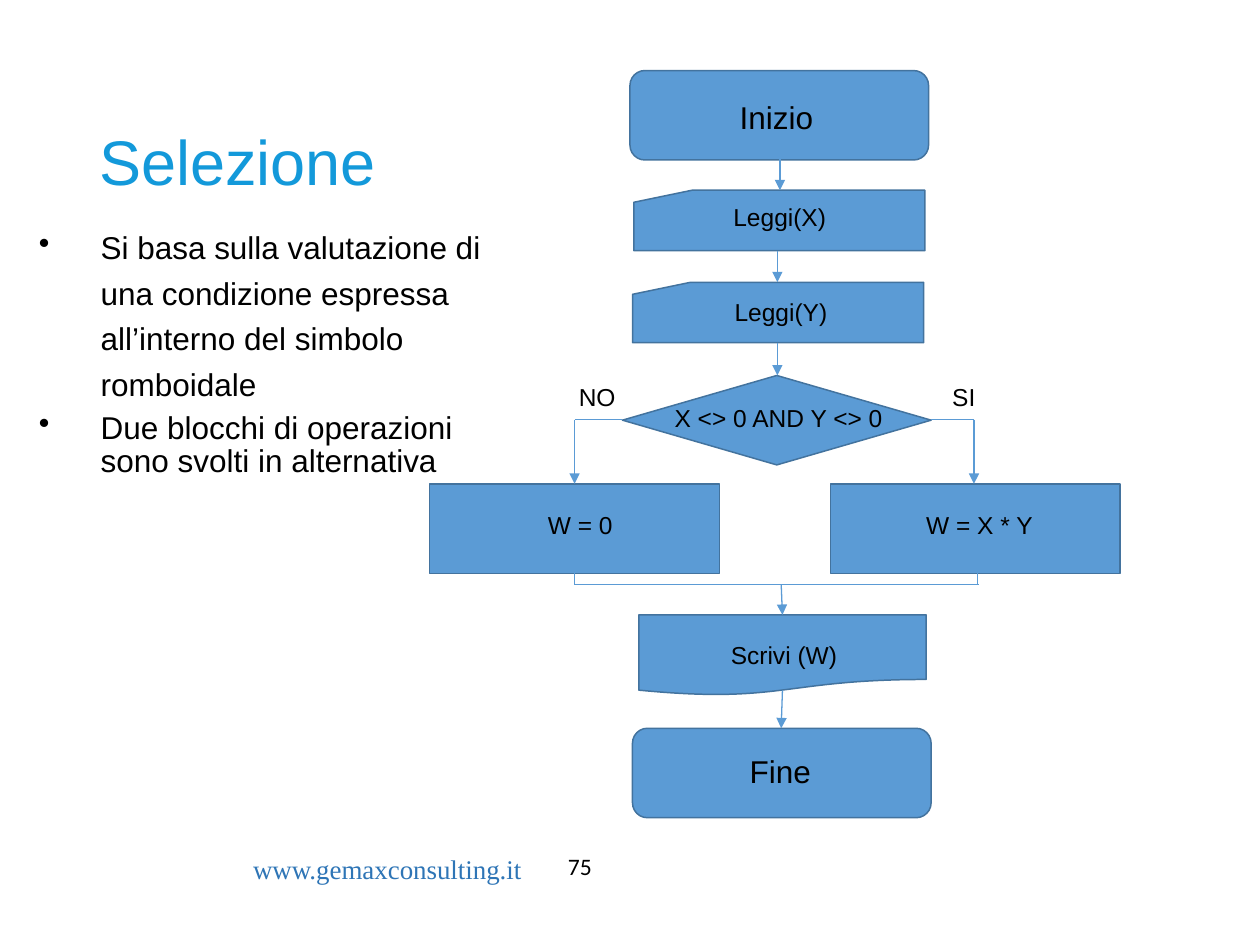
"""Build the "Selezione" slide: two bullets beside a flowchart of a conditional branch."""
from dataclasses import dataclass

from lxml import etree
from pptx import Presentation
from pptx.dml.color import RGBColor
from pptx.enum.shapes import MSO_CONNECTOR, MSO_SHAPE
from pptx.enum.text import MSO_ANCHOR, PP_ALIGN
from pptx.oxml.ns import qn
from pptx.util import Inches, Pt

STRAIGHT = MSO_CONNECTOR.STRAIGHT
TERMINAL = MSO_SHAPE.FLOWCHART_ALTERNATE_PROCESS
CARD = MSO_SHAPE.FLOWCHART_CARD
DECISION = MSO_SHAPE.FLOWCHART_DECISION
PROCESS = MSO_SHAPE.FLOWCHART_PROCESS
DOCUMENT = MSO_SHAPE.FLOWCHART_DOCUMENT
TOP, MIDDLE = MSO_ANCHOR.TOP, MSO_ANCHOR.MIDDLE
LEFT, CENTER = PP_ALIGN.LEFT, PP_ALIGN.CENTER


@dataclass(frozen=True)
class Theme:
    black: RGBColor = RGBColor.from_string("000000")
    title_blue: RGBColor = RGBColor.from_string("1399DA")
    footer_blue: RGBColor = RGBColor.from_string("2E75B6")
    fill: RGBColor = RGBColor.from_string("5B9BD5")
    outline: RGBColor = RGBColor.from_string("43739E")
    font: str = "Arial"
    footer_font: str = "Times New Roman"
    number_font: str = "Calibri"
    title_size: float = 36
    large_size: float = 18
    label_size: float = 14
    footer_size: float = 15.4
    number_size: float = 13.5
    outline_width: float = 0.85
    arrow_width: float = 0.75


theme = Theme()
presentation = Presentation()
presentation.slide_width = Inches(10)
presentation.slide_height = Inches(7.5)
slide = presentation.slides.add_slide(presentation.slide_layouts[6])


def add_text(box, texts, size, color=theme.black, font=theme.font, align=LEFT, anchor=TOP, inset=None):
    """Add a text box with one run per paragraph and return its paragraphs."""
    frame = slide.shapes.add_textbox(*map(Inches, box)).text_frame
    frame.word_wrap = True
    frame.vertical_anchor = anchor
    if inset is not None:
        frame.margin_left = frame.margin_right = Inches(inset)
        frame.margin_top = frame.margin_bottom = Inches(inset)
    for index, text in enumerate(texts):
        paragraph = frame.add_paragraph() if index else frame.paragraphs[0]
        paragraph.alignment = align
        run = paragraph.add_run()
        run.text = text
        run.font.size = Pt(size)
        run.font.name = font
        run.font.color.rgb = color
    return frame.paragraphs


def add_line(start, end, arrow):
    """Add a straight flow line, with an arrowhead at its end if asked."""
    connector = slide.shapes.add_connector(STRAIGHT, *map(Inches, (*start, *end)))
    connector.line.color.rgb = theme.fill
    connector.line.width = Pt(theme.arrow_width)
    if arrow:
        line = connector.line._get_or_add_ln()
        etree.SubElement(line, qn("a:tailEnd"), type="triangle")
    etree.SubElement(connector._element.spPr, qn("a:effectLst"))


add_text((1.91, 6.72, 2.59, 0.36), ["www.gemaxconsulting.it"], theme.footer_size,
         theme.footer_blue, theme.footer_font)
title = add_text((0.69, 0.4, 8.62, 1.45), ["Selezione"], theme.title_size,
                 theme.title_blue, anchor=MIDDLE)
title[0].line_spacing = 1.5
add_text((4.41, 6.71, 0.87, 0.4), ["75"], theme.number_size, font=theme.number_font)

steps = [
    (TERMINAL, (5, 0.56, 2.37, 0.71)),
    (CARD, (5.03, 1.51, 2.31, 0.48)),
    (CARD, (5.02, 2.24, 2.31, 0.48)),
    (DECISION, (4.94, 2.98, 2.45, 0.71)),
    (PROCESS, (3.41, 3.84, 2.3, 0.71)),
    (PROCESS, (6.59, 3.84, 2.3, 0.71)),
    (DOCUMENT, (5.07, 4.88, 2.28, 0.64)),
    (TERMINAL, (5.02, 5.78, 2.37, 0.71)),
]
for kind, box in steps:
    shape = slide.shapes.add_shape(kind, *map(Inches, box))
    shape.shadow.inherit = False
    shape.fill.solid()
    shape.fill.fore_color.rgb = theme.fill
    shape.line.color.rgb = theme.outline
    shape.line.width = Pt(theme.outline_width)

flow_lines = [
    ((6.19, 1.26), (6.19, 1.51), True),
    ((6.17, 1.99), (6.17, 2.24), True),
    ((6.17, 2.72), (6.17, 2.98), True),
    ((7.39, 3.33), (7.73, 3.33), False),
    ((7.73, 3.33), (7.73, 3.84), True),
    ((4.94, 3.33), (4.56, 3.33), False),
    ((4.56, 3.33), (4.56, 3.84), True),
    ((4.56, 4.55), (4.56, 4.64), False),
    ((7.76, 4.55), (7.76, 4.64), False),
    ((4.56, 4.64), (7.77, 4.64), False),
    ((6.2, 4.64), (6.21, 4.88), True),
    ((6.21, 5.48), (6.2, 5.78), True),
]
for start, end, arrow in flow_lines:
    add_line(start, end, arrow)

labels = [
    ("Inizio", (5.87, 0.78, 0.7, 0.31), theme.large_size, LEFT),
    ("Leggi(X)", (5.82, 1.6, 0.85, 0.25), theme.label_size, LEFT),
    ("Leggi(Y)", (5.83, 2.36, 0.85, 0.25), theme.label_size, LEFT),
    ("X <> 0 AND Y <> 0", (5.2, 3.2, 1.96, 0.24), theme.label_size, CENTER),
    ("W = 0", (4.17, 4.05, 0.87, 0.24), theme.label_size, CENTER),
    ("W = X * Y", (7.35, 4.05, 0.95, 0.25), theme.label_size, LEFT),
    ("Scrivi (W)", (5.8, 5.08, 0.95, 0.25), theme.label_size, LEFT),
    ("Fine", (5.95, 5.97, 0.6, 0.31), theme.large_size, LEFT),
    ("SI", (7.27, 3.03, 0.76, 0.24), theme.label_size, CENTER),
    ("NO", (4.36, 3.03, 0.76, 0.24), theme.label_size, CENTER),
]
for text, box, size, align in labels:
    add_text(box, [text], size, align=align, inset=0)

bullets = add_text((0.19, 1.7, 3.83, 2.18), [
    "Si basa sulla valutazione di una condizione espressa all’interno del simbolo romboidale",
    "Due blocchi di operazioni sono svolti in alternativa",
], theme.large_size)
for paragraph in bullets:
    properties = paragraph._p.get_or_add_pPr()
    properties.set("marL", str(Inches(0.51)))
    properties.set("indent", str(Inches(-0.49)))
    etree.SubElement(properties, qn("a:buChar"), char="•")
bullets[0].line_spacing = Pt(26)
bullets[1].line_spacing = 0.89
bullets[1].space_before = Pt(5.7)

presentation.save("out.pptx")
